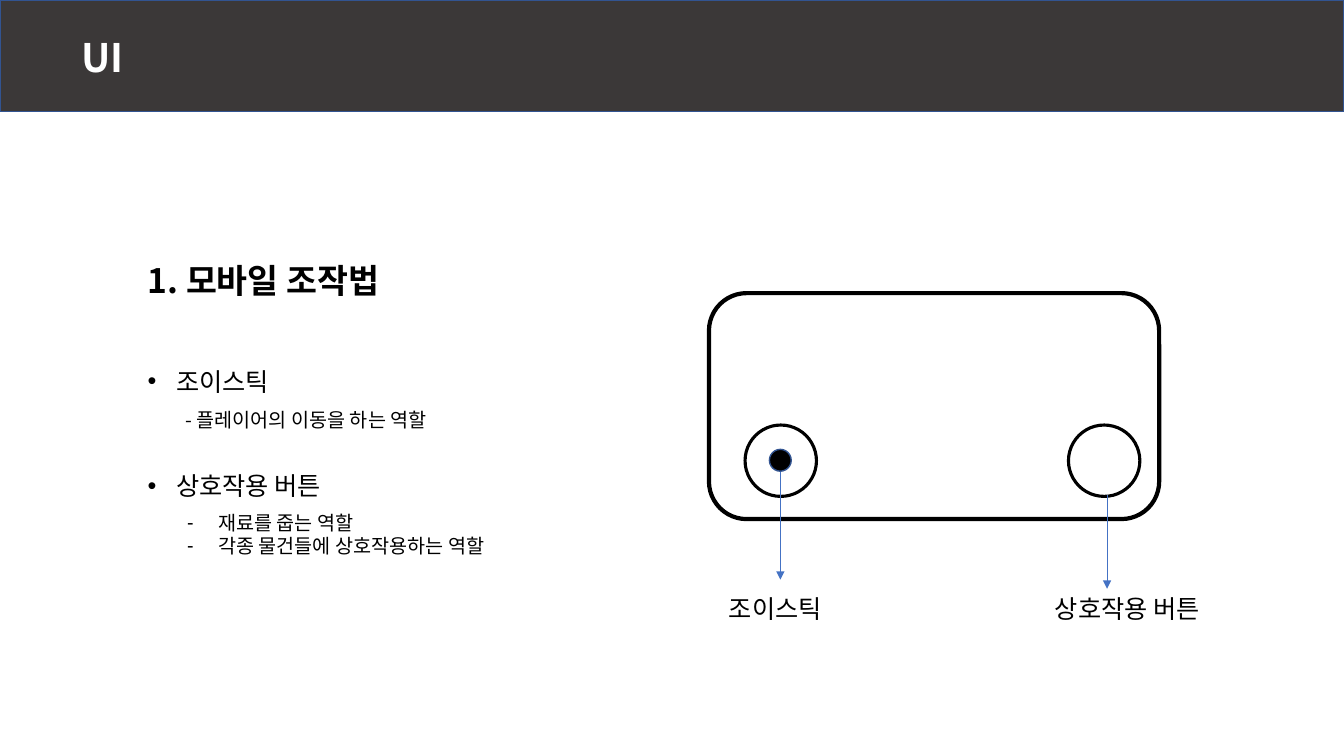
from dataclasses import dataclass

from lxml.etree import SubElement as Sub
from pptx import Presentation
from pptx.dml.color import RGBColor
from pptx.enum.shapes import MSO_CONNECTOR as Link, MSO_SHAPE as Kind
from pptx.enum.text import MSO_ANCHOR as Anchor, PP_ALIGN as Align
from pptx.oxml.ns import qn
from pptx.util import Inches, Pt

WHITE = RGBColor(0xFF, 0xFF, 0xFF)
BLACK = RGBColor(0, 0, 0)
DARK = RGBColor(0x3B, 0x38, 0x38)
NAVY = RGBColor(0x32, 0x54, 0x91)
BLUE = RGBColor(0x44, 0x72, 0xC4)
FONT = "Noto Sans CJK KR"
WIDE, HIGH = Inches(13.333), Inches(7.5)
COLS, ROWS = 16, 9


@dataclass
class Box:
    x: float
    y: float
    w: float
    h: float

    def emu(self) -> tuple[int, int, int, int]:
        return across(self.x), down(self.y), across(self.w), down(self.h)


@dataclass
class Form:
    kind: Kind
    box: Box
    fill: RGBColor | None
    line: RGBColor
    width: float


@dataclass
class Note:
    box: Box
    lines: list[str]
    size: int
    bold: bool = False
    mark: str = ""
    dent: float = 0


@dataclass
class Arrow:
    x: float
    top: float
    end: float


def across(cols: float) -> int:
    return round(WIDE * cols / COLS)


def down(rows: float) -> int:
    return round(HIGH * rows / ROWS)


def ring(x: float) -> Form:
    return Form(Kind.OVAL, Box(x, 5.06, 0.85, 0.85), None, BLACK, 2.25)


BAND = Form(Kind.RECTANGLE, Box(0, 0, COLS, 1.33), DARK, NAVY, 1)
PHONE = Form(Kind.ROUNDED_RECTANGLE, Box(8.44, 3.49, 5.36, 2.69), WHITE, BLACK, 3)
KNOB = Form(Kind.OVAL, Box(9.16, 5.35, 0.26, 0.26), BLACK, NAVY, 1)
FORMS = [BAND, PHONE, ring(8.87), KNOB, ring(12.72)]
ARROWS = [Arrow(9.29, 5.62, 6.9), Arrow(13.18, 5.89, 7.01)]
TITLE = Box(0.85, 0.34, 5.56, 0.68)
STICK, BUTTON = "조이스틱", "상호작용 버튼"
NOTES = [
    Note(Box(8.56, 7.01, 1.45, 0.48), [STICK], 18),
    Note(Box(12.44, 7.01, 2.17, 0.48), [BUTTON], 18),
    Note(Box(1.64, 3.04, 3.29, 0.6), ["1. 모바일 조작법"], 24, True),
    Note(Box(1.64, 4.3, 1.8, 0.48), [STICK], 18, mark="•", dent=0.34),
    Note(Box(2.09, 4.8, 3.49, 0.41), ["- 플레이어의 이동을 하는 역할"], 14),
    Note(Box(1.64, 5.54, 2.52, 0.48), [BUTTON], 18, mark="•", dent=0.34),
    Note(Box(2.11, 6.02, 4.16, 0.68),
         ["재료를 줍는 역할", "각종 물건들에 상호작용하는 역할"], 14, mark="-", dent=0.37),
]


def style(para, size: int, bold: bool, color: RGBColor) -> None:
    para.alignment = Align.LEFT
    font = para.font
    font.name, font.size, font.bold = FONT, Pt(size), bold
    font.color.rgb = color
    props = para._p.get_or_add_pPr().find(qn("a:defRPr"))
    Sub(props, qn("a:ea"), typeface=FONT)


def draw_form(slide, form: Form) -> None:
    shape = slide.shapes.add_shape(form.kind, *form.box.emu())
    shape.shadow.inherit = False
    if form.fill is None:
        shape.fill.background()
    else:
        shape.fill.solid()
        shape.fill.fore_color.rgb = form.fill
    shape.line.color.rgb = form.line
    shape.line.width = Pt(form.width)


def draw_note(slide, note: Note) -> None:
    frame = slide.shapes.add_textbox(*note.box.emu()).text_frame
    frame.word_wrap = False
    frame.text = "\n".join(note.lines)
    for para in frame.paragraphs:
        if note.mark:
            props = para._p.get_or_add_pPr()
            dent = across(note.dent)
            props.set("marL", str(dent))
            props.set("indent", str(-dent))
            Sub(props, qn("a:buFont"), typeface="Arial")
            Sub(props, qn("a:buChar"), char=note.mark)
        style(para, note.size, note.bold, BLACK)


def draw_arrow(slide, arrow: Arrow) -> None:
    x = across(arrow.x)
    link = slide.shapes.add_connector(
        Link.STRAIGHT, x, down(arrow.top), x, down(arrow.end))
    link.line.color.rgb = BLUE
    link.line.width = Pt(0.5)
    Sub(link.line._get_or_add_ln(), qn("a:tailEnd"), type="triangle")
    Sub(link._element.spPr, qn("a:effectLst"))


def set_title(slide) -> None:
    title = slide.shapes.title
    title.left, title.top, title.width, title.height = TITLE.emu()
    title.text = "UI"
    title.text_frame.vertical_anchor = Anchor.TOP
    style(title.text_frame.paragraphs[0], 28, True, WHITE)
    slide.shapes._spTree.append(title._element)


def main() -> None:
    """Build the slide on mobile controls and save it."""
    deck = Presentation()
    deck.slide_width, deck.slide_height = WIDE, HIGH
    slide = deck.slides.add_slide(deck.slide_layouts[5])
    for form in FORMS:
        draw_form(slide, form)
    for arrow in ARROWS:
        draw_arrow(slide, arrow)
    for note in NOTES:
        draw_note(slide, note)
    set_title(slide)
    deck.save("out.pptx")


if __name__ == "__main__":
    main()
